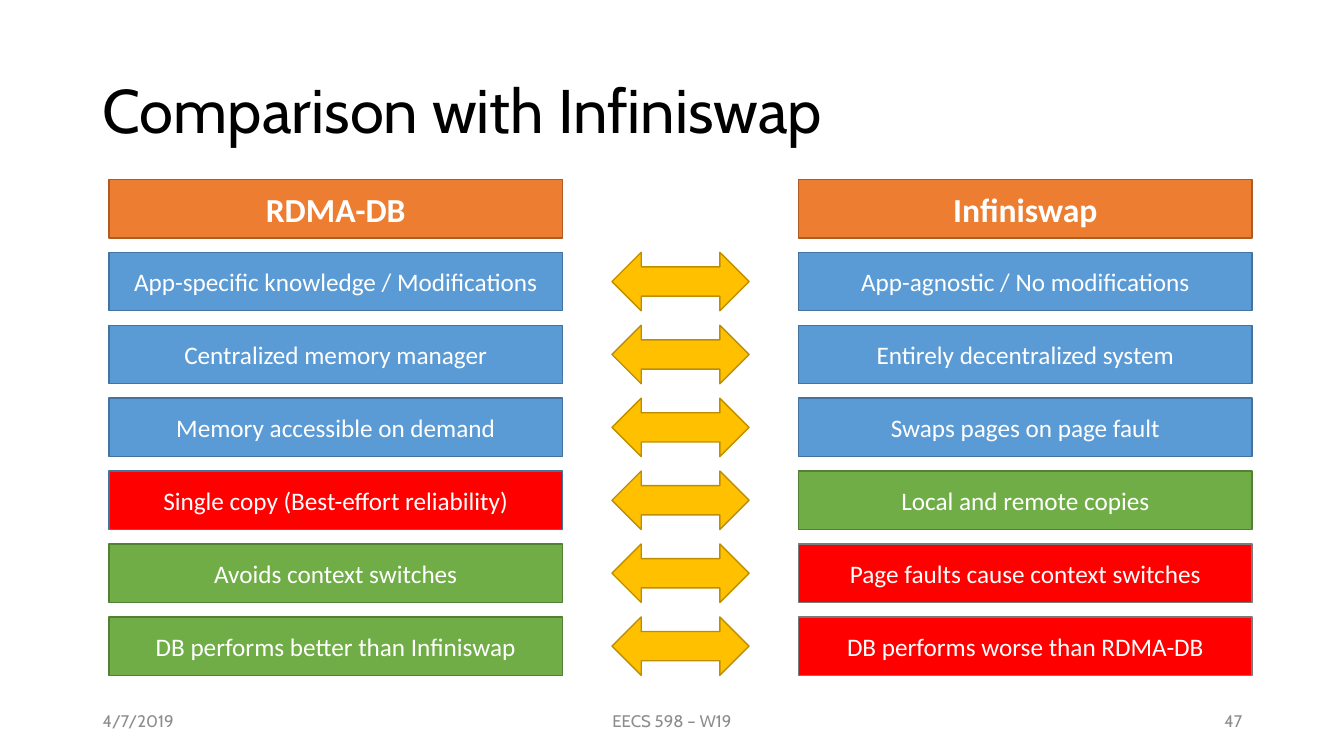
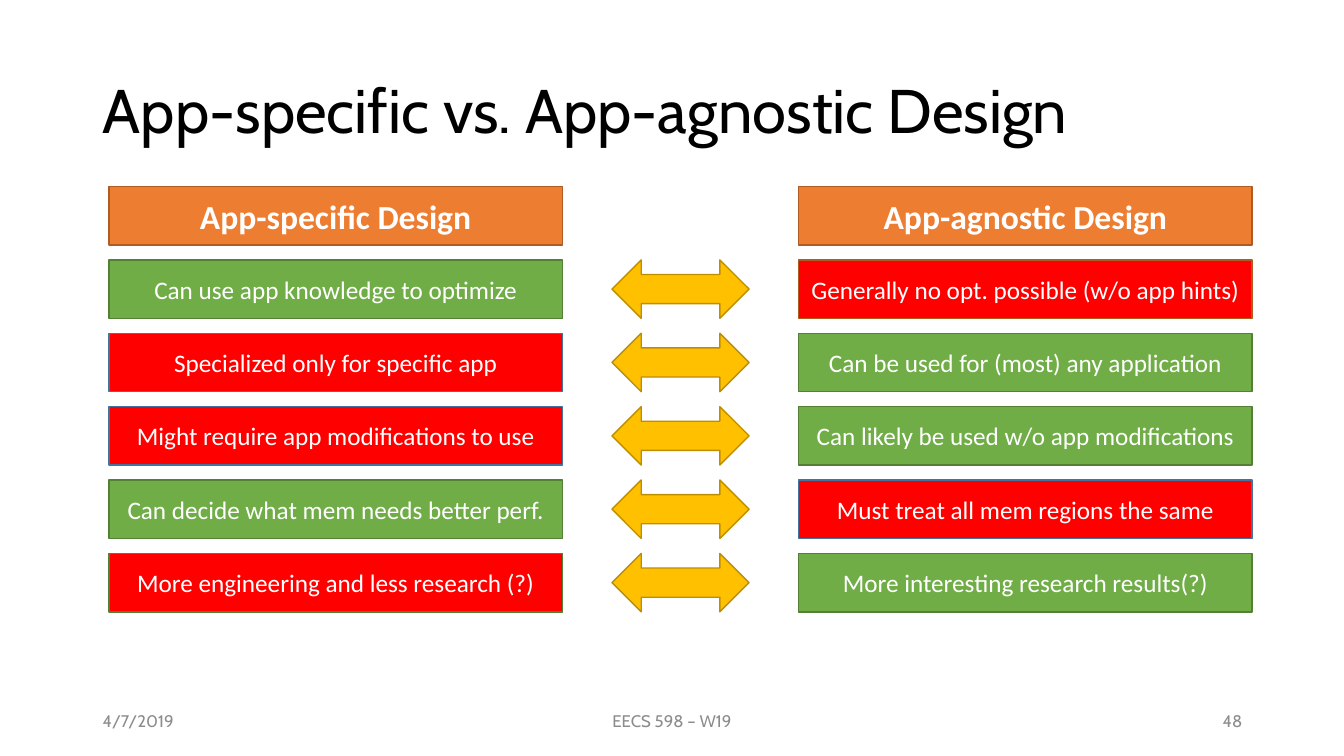
from dataclasses import dataclass

from pptx import Presentation
from pptx import util as u
from pptx.dml.color import RGBColor
from pptx.enum import shapes, text


@dataclass(frozen=True)
class Theme:
    title_font: str = "Cabin"
    body_font: str = "Calibri"
    title_size: int = 44
    heading_size: int = 24
    row_size: int = 18
    footer_size: int = 12
    title_color: str = "000000"
    footer_color: str = "8C8C8C"
    label_color: str = "FFFFFF"
    orange: tuple = ("ED7D31", "AF5C24")
    blue: tuple = ("5B9BD5", "43739E")
    green: tuple = ("70AD47", "538035")
    gold: tuple = ("FFC000", "BD8E00")
    red_on_blue: tuple = ("FF0000", "43739E")
    red_on_gray: tuple = ("FF0000", "7A7A7A")
    red_on_orange: tuple = ("FF0000", "AF5C24")
    red_on_green: tuple = ("FF0000", "538035")


THEME = Theme()
SLIDE_W, SLIDE_H = 13.33, 7.5
MARGIN, CONTENT_W = 0.92, 11.5
CELL_W, CELL_H = 4.5, 0.58
LEFT_COL = 1.08
RIGHT_COL = MARGIN + CONTENT_W - CELL_W
ARROW_W = 1.36
ARROW_COL = (LEFT_COL + RIGHT_COL + CELL_W - ARROW_W) / 2
FOOTER_TOP, FOOTER_H = 6.95, 0.4
SIDE_W, CENTER_W = 3, 4.5

COMPARISONS = [
    {
        "title": "Comparison with Infiniswap",
        "page": "47",
        "span": (1.78, 6.12),
        "headings": ("RDMA-DB", "Infiniswap"),
        "rows": [
            ("App-specific knowledge / Modifications", THEME.blue,
             "App-agnostic / No modifications", THEME.blue),
            ("Centralized memory manager", THEME.blue,
             "Entirely decentralized system", THEME.blue),
            ("Memory accessible on demand", THEME.blue,
             "Swaps pages on page fault", THEME.blue),
            ("Single copy (Best-effort reliability)", THEME.red_on_blue,
             "Local and remote copies", THEME.green),
            ("Avoids context switches", THEME.green,
             "Page faults cause context switches", THEME.red_on_gray),
            ("DB performs better than Infiniswap", THEME.green,
             "DB performs worse than RDMA-DB", THEME.red_on_gray),
        ],
    },
    {
        "title": "App-specific vs. App-agnostic Design",
        "page": "48",
        "span": (1.85, 5.49),
        "headings": ("App-specific Design", "App-agnostic Design"),
        "rows": [
            ("Can use app knowledge to optimize", THEME.green,
             "Generally no opt. possible (w/o app hints)", THEME.red_on_orange),
            ("Specialized only for specific app", THEME.red_on_blue,
             "Can be used for (most) any application", THEME.green),
            ("Might require app modifications to use", THEME.red_on_blue,
             "Can likely be used w/o app modifications", THEME.green),
            ("Can decide what mem needs better perf.", THEME.green,
             "Must treat all mem regions the same", THEME.red_on_blue),
            ("More engineering and less research (?)", THEME.red_on_green,
             "More interesting research results(?)", THEME.green),
        ],
    },
]


def inches(*lengths):
    return [u.Inches(length) for length in lengths]


def write(holder, wording, font_name, size, color, align, bold=False):
    frame = holder.text_frame
    frame.text = wording
    frame.word_wrap = True
    frame.auto_size = text.MSO_AUTO_SIZE.NONE
    frame.vertical_anchor = text.MSO_ANCHOR.MIDDLE
    paragraph = frame.paragraphs[0]
    paragraph.alignment = align
    font = paragraph.runs[0].font
    font.name = font_name
    font.size = u.Pt(size)
    font.bold = bold
    font.color.rgb = RGBColor.from_string(color)
    return paragraph


def add_title(slide, wording):
    title = slide.shapes.title
    title.left, title.top, title.width, title.height = inches(MARGIN, 0.4, CONTENT_W, 1.45)
    paragraph = write(title, wording, THEME.title_font, THEME.title_size,
                      THEME.title_color, text.PP_ALIGN.LEFT)
    paragraph.line_spacing = 0.9


def add_footer(slide, page):
    parts = [
        ("4/7/2019", MARGIN, SIDE_W, text.PP_ALIGN.LEFT),
        ("EECS 598 – W19", (SLIDE_W - CENTER_W) / 2, CENTER_W, text.PP_ALIGN.CENTER),
        (page, MARGIN + CONTENT_W - SIDE_W, SIDE_W, text.PP_ALIGN.RIGHT),
    ]
    for wording, left, width, align in parts:
        box = slide.shapes.add_textbox(*inches(left, FOOTER_TOP, width, FOOTER_H))
        write(box, wording, THEME.title_font, THEME.footer_size, THEME.footer_color, align)


def add_block(slide, preset, left, top, width, tone):
    block = slide.shapes.add_shape(preset, *inches(left, top, width, CELL_H))
    fill, edge = tone
    block.shadow.inherit = False
    block.fill.solid()
    block.fill.fore_color.rgb = RGBColor.from_string(fill)
    block.line.color.rgb = RGBColor.from_string(edge)
    block.line.width = u.Pt(1)
    return block


def add_cell(slide, wording, left, top, tone, size=THEME.row_size, bold=False):
    cell = add_block(slide, shapes.MSO_SHAPE.RECTANGLE, left, top, CELL_W, tone)
    write(cell, wording, THEME.body_font, size, THEME.label_color,
          text.PP_ALIGN.CENTER, bold)


def add_comparison(slide, headings, rows, span):
    first, last = span
    pitch = (last - first) / len(rows)
    for heading, left in zip(headings, (LEFT_COL, RIGHT_COL)):
        add_cell(slide, heading, left, first, THEME.orange, THEME.heading_size, True)
    for number, (left_text, left_tone, right_text, right_tone) in enumerate(rows, 1):
        top = first + number * pitch
        add_cell(slide, left_text, LEFT_COL, top, left_tone)
        add_cell(slide, right_text, RIGHT_COL, top, right_tone)
        add_block(slide, shapes.MSO_SHAPE.LEFT_RIGHT_ARROW, ARROW_COL, top, ARROW_W, THEME.gold)


def main():
    deck = Presentation()
    deck.slide_width, deck.slide_height = inches(SLIDE_W, SLIDE_H)
    title_only = deck.slide_layouts[5]
    for content in COMPARISONS:
        slide = deck.slides.add_slide(title_only)
        add_title(slide, content["title"])
        add_footer(slide, content["page"])
        add_comparison(slide, content["headings"], content["rows"], content["span"])
    deck.save("out.pptx")


if __name__ == "__main__":
    main()
